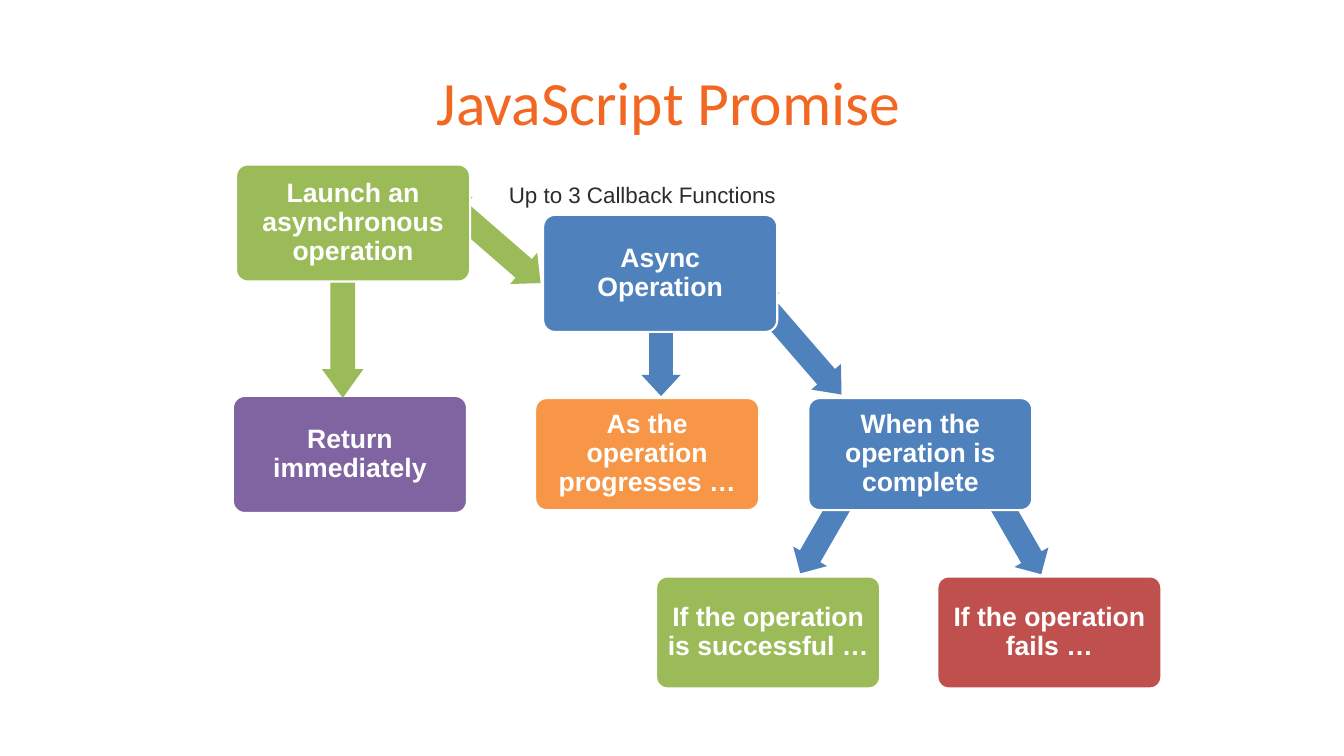
from pptx import Presentation
from pptx.dml.color import RGBColor
from pptx.enum.shapes import MSO_SHAPE as Shape
from pptx.enum.text import MSO_ANCHOR as Anchor, PP_ALIGN as Align
from pptx.util import Pt

COLORS = {
    "title": "F26722", "caption": "2C2C2D", "white": "FFFFFF",
    "blue": "4F81BD", "green": "9BBB59", "purple": "8064A2",
    "orange": "F79646", "red": "C0504D",
}


def add_run(p, text, size, color, font="Arial", bold=False):
    r = p.add_run()
    r.text = text
    r.font.name = font
    r.font.size = Pt(size)
    r.font.bold = bold
    r.font.color.rgb = RGBColor.from_string(COLORS[color])


def add_filled(s, kind, left, top, width, height, color):
    sp = s.shapes.add_shape(kind, Pt(left), Pt(top), Pt(width), Pt(height))
    sp.shadow.inherit = False
    sp.fill.solid()
    sp.fill.fore_color.rgb = RGBColor.from_string(COLORS[color])
    sp.line.fill.background()
    return sp


prs = Presentation()
prs.slide_width, prs.slide_height = Pt(960), Pt(540)
s = prs.slides.add_slide(prs.slide_layouts[5])

title = s.shapes.title
title.left, title.top, title.width, title.height = Pt(49), Pt(14.4), Pt(864.7), Pt(123.8)
tf = title.text_frame
tf.margin_left = 0
tf.vertical_anchor = Anchor.MIDDLE
p = tf.paragraphs[0]
p.alignment = Align.CENTER
p.line_spacing = 0.85
add_run(p, "JavaScript Promise", 44, "title", "Calibri")

LARGE, SMALL = (167.2, 83.6), (160, 80)
boxes = [
    ("Return immediately", 166.4, 282.8, LARGE, "purple"),
    ("When the operation is complete", 577.4, 284.4, SMALL, "blue"),
    ("If the operation fails …", 669.6, 411.8, SMALL, "red"),
    ("If the operation is successful …", 468.7, 411.8, SMALL, "green"),
    ("Launch an asynchronous operation", 168.6, 117.5, LARGE, "green"),
    ("As the operation progresses …", 382.3, 284.4, SMALL, "orange"),
    ("Async Operation", 388, 153.5, LARGE, "blue"),
]
arrows = [
    (681.1, 360, 83.5, 28, 60, 0.5, "blue"),
    (550.8, 359.3, 83.5, 28, 300, 0.5, "blue"),
    (517.7, 229.7, 100.8, 28, 229.1, 0.6, "blue"),
    (304.6, 157, 92.9, 29.5, 41, 0.54, "green"),
    (183.6, 208.4, 122.4, 29.5, 90, 0.7, "green"),
    (427.9, 224.6, 88.6, 28, 270, 0.54, "blue"),
]


for i, (text, left, top, (width, height), color) in enumerate(boxes):
    sp = add_filled(s, Shape.ROUNDED_RECTANGLE, left, top, width, height, color)
    sp.adjustments[0] = 0.1
    sp.line.color.rgb = RGBColor.from_string(COLORS["white"])
    sp.line.width = Pt(1.5)
    tf = sp.text_frame
    tf.word_wrap = True
    tf.vertical_anchor = Anchor.MIDDLE
    tf.margin_left = tf.margin_right = tf.margin_top = tf.margin_bottom = Pt(5.5)
    p = tf.paragraphs[0]
    p.alignment = Align.CENTER
    p.line_spacing = 0.9
    add_run(p, text, 19, "white", bold=True)
    if i == 0:
        for left, top, length, thickness, angle, head, color in arrows:
            sp = add_filled(s, Shape.LEFT_RIGHT_ARROW, left, top, length, thickness, color)
            sp.rotation = angle
            sp.adjustments[0] = 0.6
            sp.adjustments[1] = head

caption = s.shapes.add_textbox(Pt(356.4), Pt(126), Pt(281.5), Pt(26.6))
tf = caption.text_frame
tf.word_wrap = True
add_run(tf.paragraphs[0], "Up to 3 Callback Functions", 16, "caption")

prs.save("out.pptx")
